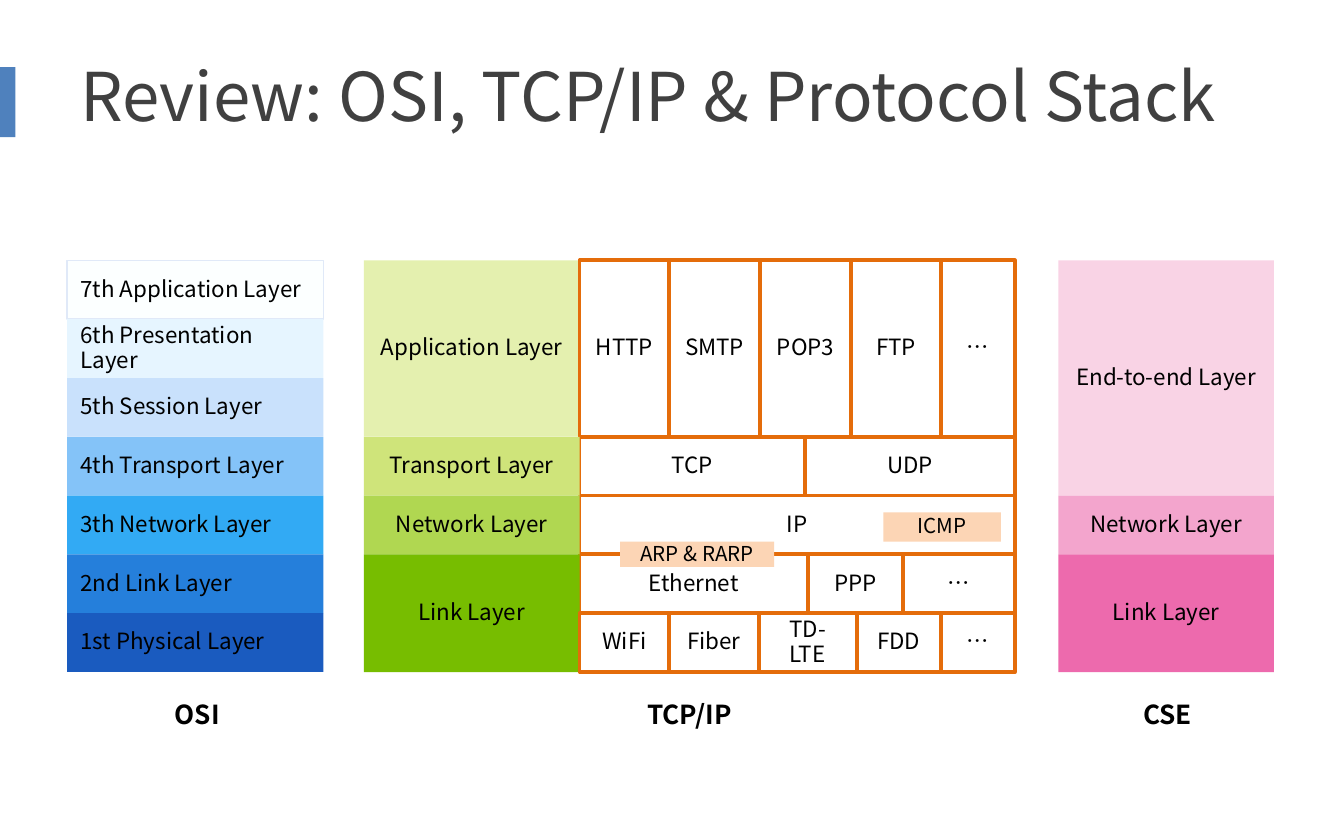
from pptx import Presentation
from pptx.dml.color import RGBColor
from pptx.enum.shapes import MSO_SHAPE
from pptx.enum.text import MSO_ANCHOR, PP_ALIGN
from pptx.util import Pt

SCALE = 9525
TOP = 186
ROW = 42
ORANGE = "E46C0A"
PEACH = "FCD5B5"


def px(num):
    return num * SCALE


def color(code):
    return RGBColor.from_string(code)


class Deck:
    font = "Noto Sans CJK SC"
    ink = "000000"
    pitch = 0.9

    def __init__(self, wide, high):
        self.show = Presentation()
        self.show.slide_width = px(wide)
        self.show.slide_height = px(high)
        self.slide = self.show.slides.add_slide(self.show.slide_layouts[6])

    def style(self, shape, text, size, align, ink, bold=False):
        frame = shape.text_frame
        frame.text = text
        frame.word_wrap = True
        frame.vertical_anchor = MSO_ANCHOR.MIDDLE
        para = frame.paragraphs[0]
        para.alignment = align
        para.line_spacing = self.pitch
        for run in para.runs:
            run.font.name = self.font
            run.font.size = Pt(size)
            run.font.bold = bold
            run.font.color.rgb = color(ink)

    def label(self, x, y, w, h, text, size, align=PP_ALIGN.CENTER, ink=ink, bold=False):
        box = self.slide.shapes.add_textbox(px(x), px(y), px(w), px(h))
        self.style(box, text, size, align, ink, bold)

    def box(self, x, y, w, h, fill, text="", line=None, width=2, size=12, align=PP_ALIGN.CENTER):
        shape = self.slide.shapes.add_shape(MSO_SHAPE.RECTANGLE, px(x), px(y), px(w), px(h))
        shape.shadow.inherit = False
        shape.fill.solid()
        shape.fill.fore_color.rgb = color(fill)
        if line:
            shape.line.color.rgb = color(line)
            shape.line.width = Pt(width)
        else:
            shape.line.fill.background()
        if text:
            self.style(shape, text, size, align, self.ink)

    def stack(self, x, w, layers, start=0, align=PP_ALIGN.CENTER):
        for text, fill, span, line in layers:
            self.box(x, TOP + start * ROW, w, span * ROW, fill, text, line, 0.75, align=align)
            start += span

    def cells(self, start, span, edges, names):
        for left, right, name in zip(edges, edges[1:], names):
            self.box(left, TOP + start * ROW, right - left, span * ROW, "FFFFFF", name, ORANGE)


def main():
    deck = Deck(960, 600)
    deck.box(-6, 48, 17, 50, "4F81BD")
    deck.label(48, 24, 864, 94, "Review: OSI, TCP/IP & Protocol Stack", 36, PP_ALIGN.LEFT, "404040")

    deck.stack(48, 183, [
        ("7th Application Layer", "FCFFFF", 1, "E0E9F8"),
        ("6th Presentation Layer", "E6F5FF", 1, None),
        ("5th Session Layer", "C9E1FC", 1, None),
        ("4th Transport Layer", "84C3F8", 1, None),
        ("3th Network Layer", "32AAF4", 1, None),
        ("2nd Link Layer", "257FDB", 1, None),
        ("1st Physical Layer", "1A5BBF", 1, None),
    ], align=PP_ALIGN.LEFT)

    deck.stack(260, 154, [("Application Layer", "E4F0AF", 3, None)])
    deck.cells(0, 3, [414, 478, 543, 608, 672, 725], ["HTTP", "SMTP", "POP3", "FTP", "…"])
    deck.cells(3, 1, [414, 575, 725], ["TCP", "UDP"])
    deck.cells(4, 1, [414, 725], ["IP"])
    deck.cells(5, 1, [414, 577, 645, 725], ["Ethernet", "PPP", "…"])
    deck.box(631, 366, 84, 21, PEACH, "ICMP", size=11)
    deck.box(443, 387, 110, 18, PEACH, "ARP & RARP", size=11)
    deck.stack(260, 154, [
        ("Transport Layer", "CFE47A", 1, None),
        ("Network Layer", "B0D751", 1, None),
        ("Link Layer", "77BD00", 2, None),
    ], start=3)
    deck.cells(6, 1, [414, 478, 542, 612, 672, 725], ["WiFi", "Fiber", "TD-LTE", "FDD", "…"])

    deck.stack(756, 154, [
        ("End-to-end Layer", "F9D3E5", 4, None),
        ("Network Layer", "F3A5CD", 1, None),
        ("Link Layer", "ED6AAD", 2, None),
    ])

    for left, wide, name in [(49, 184, "OSI"), (259, 467, "TCP/IP"), (756, 156, "CSE")]:
        deck.label(left, 495, wide, 33, name, 14, bold=True)

    deck.show.save("out.pptx")


if __name__ == "__main__":
    main()
